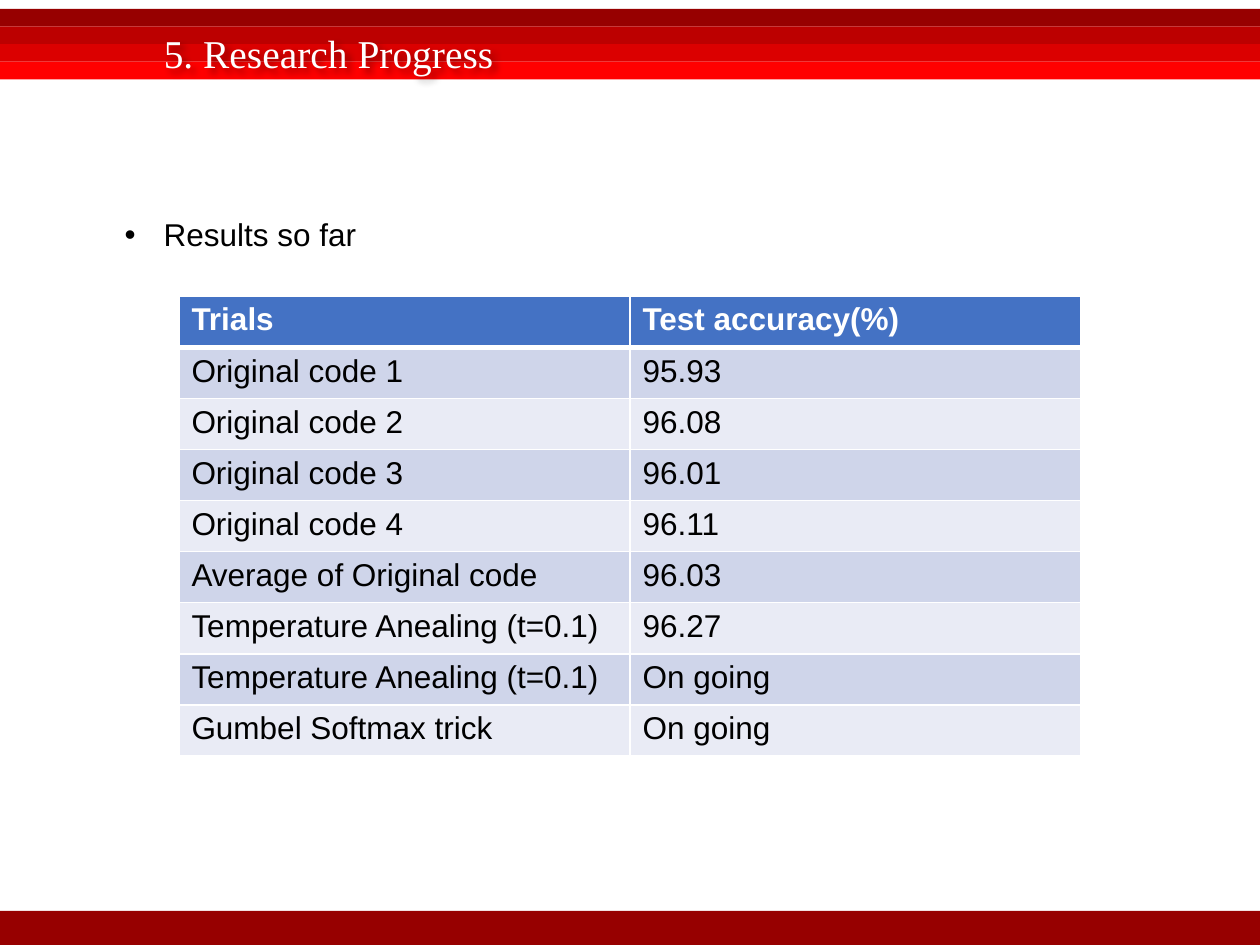
import lxml.etree
import pptx
import pptx.dml.color
import pptx.enum.shapes
import pptx.enum.text
import pptx.oxml
import pptx.oxml.ns
import pptx.util
from dataclasses import dataclass

Inches = pptx.util.Inches
Pt = pptx.util.Pt

COLORS = {
    "dark_red": "970000",
    "deep_red": "BC0000",
    "mid_red": "DB0000",
    "bright_red": "FF0000",
    "white": "FFFFFF",
    "black": "000000",
    "header": "4472C4",
    "odd_row": "CFD5EA",
    "even_row": "E9EBF5",
}
BAND_HEIGHT = 0.14


@dataclass
class Band:
    top: float
    height: float
    color: str


@dataclass
class Trial:
    name: str
    accuracy: str


HEADER_COLORS = ["dark_red", "deep_red", "mid_red", "bright_red"]
BANDS = [
    Band(0.07 + index * BAND_HEIGHT, BAND_HEIGHT, color)
    for index, color in enumerate(HEADER_COLORS)
] + [Band(7.23, 0.28, "dark_red")]

TRIALS = [
    Trial("Trials", "Test accuracy(%)"),
    Trial("Original code 1", "95.93"),
    Trial("Original code 2", "96.08"),
    Trial("Original code 3", "96.01"),
    Trial("Original code 4", "96.11"),
    Trial("Average of Original code", "96.03"),
    Trial("Temperature Anealing (t=0.1)", "96.27"),
    Trial("Temperature Anealing (t=0.1)", "On going"),
    Trial("Gumbel Softmax trick", "On going"),
]


def rgb(color: str) -> pptx.dml.color.RGBColor:
    return pptx.dml.color.RGBColor.from_string(COLORS[color])


def format_runs(paragraph, size: float, color: str, name: str = "Arial", bold: bool = False) -> None:
    for run in paragraph.runs:
        run.font.size = Pt(size)
        run.font.name = name
        run.font.bold = bold
        run.font.color.rgb = rgb(color)


def draw_band(slide, band: Band) -> None:
    stripe = slide.shapes.add_shape(
        pptx.enum.shapes.MSO_SHAPE.RECTANGLE,
        Inches(0), Inches(band.top), Inches(10), Inches(band.height),
    )
    stripe.shadow.inherit = False
    stripe.fill.solid()
    stripe.fill.fore_color.rgb = rgb(band.color)
    stripe.line.fill.background()


def draw_title(slide, text: str) -> None:
    title = slide.shapes.title
    title.left, title.top = Inches(0.72), Inches(0.08)
    title.width, title.height = Inches(7.08), Inches(0.56)
    frame = title.text_frame
    frame.text = text
    frame.word_wrap = True
    frame.auto_size = pptx.enum.text.MSO_AUTO_SIZE.NONE
    frame.vertical_anchor = pptx.enum.text.MSO_ANCHOR.MIDDLE
    frame.margin_left = frame.margin_right = Inches(0.08)
    frame.margin_top = frame.margin_bottom = Inches(0.04)
    heading = frame.paragraphs[0]
    heading.alignment = pptx.enum.text.PP_ALIGN.LEFT
    heading.line_spacing = 1.3
    heading.space_before = Pt(0)
    properties = heading._p.get_or_add_pPr()
    properties.set("marL", str(Inches(0.5)))
    properties.set("indent", "0")
    format_runs(heading, 22.5, "white", "Times New Roman")
    title.element.spPr.append(pptx.oxml.parse_xml(
        f'<a:effectLst {pptx.oxml.ns.nsdecls("a")}>'
        '<a:outerShdw blurRad="50800" dist="38100" dir="2700000" algn="tl">'
        f'<a:srgbClr val="{COLORS["black"]}"><a:alpha val="40000"/></a:srgbClr>'
        '</a:outerShdw></a:effectLst>'
    ))
    title.element.getparent().append(title.element)


def draw_bullet(slide, text: str) -> None:
    box = slide.shapes.add_textbox(Inches(0.89), Inches(1.66), Inches(4.11), Inches(0.4))
    box.text_frame.word_wrap = True
    point = box.text_frame.paragraphs[0]
    point.text = text
    properties = point._p.get_or_add_pPr()
    properties.set("marL", str(Inches(0.31)))
    properties.set("indent", str(Inches(-0.31)))
    qn = pptx.oxml.ns.qn
    lxml.etree.SubElement(properties, qn("a:buFont")).set("typeface", "Arial")
    lxml.etree.SubElement(properties, qn("a:buChar")).set("char", "•")
    format_runs(point, 18, "black")


def set_border(cell, side: str, width: float) -> None:
    cell._tc.get_or_add_tcPr().append(pptx.oxml.parse_xml(
        f'<a:{side} {pptx.oxml.ns.nsdecls("a")} w="{Pt(width)}">'
        f'<a:solidFill><a:srgbClr val="{COLORS["white"]}"/></a:solidFill></a:{side}>'
    ))


def format_cell(cell, row: int) -> None:
    is_header = row == 0
    widths = {
        "lnL": 1,
        "lnR": 1,
        "lnT": 3 if row == 1 else 1,
        "lnB": 3 if is_header else 1,
    }
    for side, width in widths.items():
        set_border(cell, side, width)
    fill = "header" if is_header else "odd_row" if row % 2 else "even_row"
    cell.fill.solid()
    cell.fill.fore_color.rgb = rgb(fill)
    format_runs(
        cell.text_frame.paragraphs[0], 18,
        "white" if is_header else "black", bold=is_header,
    )


def draw_results(slide, trials: list[Trial]) -> None:
    results = slide.shapes.add_table(
        len(trials), 2, Inches(1.42), Inches(2.35), Inches(7.16), Inches(3.65)
    ).table
    for row, trial in enumerate(trials):
        for column, text in enumerate((trial.name, trial.accuracy)):
            cell = results.cell(row, column)
            cell.text_frame.text = text
            format_cell(cell, row)


def main() -> None:
    presentation = pptx.Presentation()
    presentation.slide_width = Inches(10)
    presentation.slide_height = Inches(7.5)
    slide = presentation.slides.add_slide(presentation.slide_layouts[5])
    for band in BANDS:
        draw_band(slide, band)
    draw_title(slide, "5. Research Progress")
    draw_results(slide, TRIALS)
    draw_bullet(slide, "Results so far")
    presentation.save("out.pptx")


if __name__ == "__main__":
    main()
